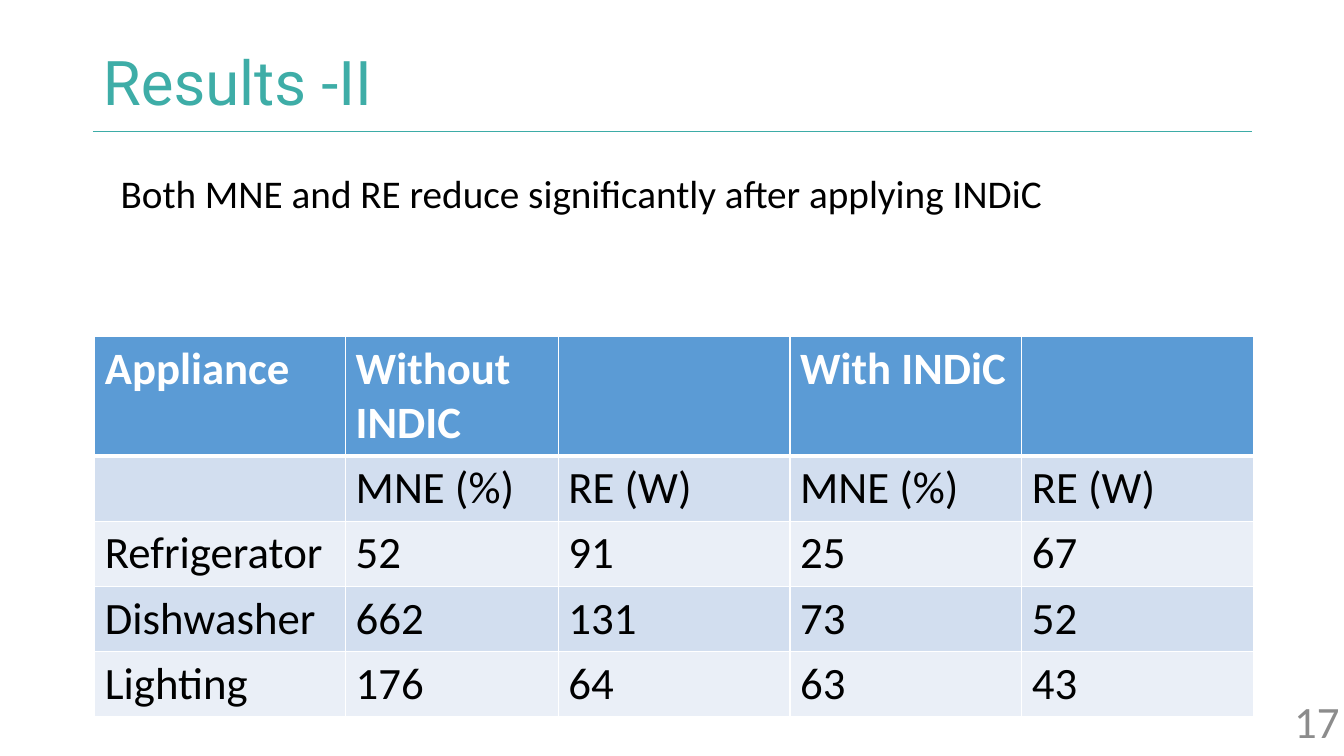
from lxml import etree
from pptx import Presentation
from pptx import util as u
from pptx.dml.color import RGBColor
from pptx.enum import shapes, text
from pptx.oxml import ns

TITLE = "Results -II"
MESSAGE = "Both MNE and RE reduce significantly after applying INDiC"
PAGE_NUMBER = "17"
RESULTS = [
    ("Appliance", "Without INDIC", "", "With INDiC", ""),
    ("", "MNE (%)", "RE (W)", "MNE (%)", "RE (W)"),
    ("Refrigerator", "52", "91", "25", "67"),
    ("Dishwasher", "662", "131", "73", "52"),
    ("Lighting", "176", "64", "63", "43"),
]
COLUMN_WIDTHS = (6.32, 5.36, 5.84, 5.84, 5.84)
HEADER_HEIGHT, ROW_HEIGHT = 3, 1.64

TEAL = RGBColor(0x3E, 0xAD, 0xA7)
RULE_TEAL = RGBColor(0x3D, 0xAC, 0xA7)
BLUE = RGBColor(0x5B, 0x9B, 0xD5)
BANDS = (RGBColor(0xEA, 0xEF, 0xF7), RGBColor(0xD2, 0xDE, 0xEF))
WHITE = RGBColor(0xFF, 0xFF, 0xFF)
BLACK = RGBColor(0, 0, 0)
GREY = RGBColor(0x8C, 0x8C, 0x8C)


def set_font(p, size, color, name="Calibri", bold=False):
    p.font.size, p.font.name, p.font.bold = u.Pt(size), name, bold
    p.font.color.rgb = color


def set_borders(cell, widths):
    """Draw white borders; widths in points for left, right, top, bottom."""
    tc_pr = cell._tc.get_or_add_tcPr()
    for i, (side, width) in enumerate(zip("LRTB", widths)):
        ln = etree.Element(ns.qn(f"a:ln{side}"), w=str(u.Pt(width)))
        fill = etree.SubElement(ln, ns.qn("a:solidFill"))
        etree.SubElement(fill, ns.qn("a:srgbClr"), val=str(WHITE))
        tc_pr.insert(i, ln)


def add_text(slide, content, box, size, color):
    tf = slide.shapes.add_textbox(*map(u.Cm, box)).text_frame
    tf.word_wrap = True
    p = tf.paragraphs[0]
    p.text = content
    set_font(p, size, color)
    return tf


def add_title(slide):
    title = slide.shapes.title
    title.left, title.top, title.width, title.height = map(u.Cm, (2.34, 1.02, 26.24, 2.29))
    tf = title.text_frame
    tf.text = TITLE
    tf.auto_size = text.MSO_AUTO_SIZE.NONE
    tf.vertical_anchor = text.MSO_ANCHOR.MIDDLE
    p = tf.paragraphs[0]
    p.alignment, p.line_spacing = text.PP_ALIGN.LEFT, 0.9
    set_font(p, 44, TEAL, "Roboto")

    rule = slide.shapes.add_connector(
        shapes.MSO_CONNECTOR.STRAIGHT, *map(u.Cm, (2.34, 3.3, 31.55, 3.3)))
    rule.line.color.rgb, rule.line.width = RULE_TEAL, u.Pt(0.5)
    etree.SubElement(rule._element.spPr, ns.qn("a:effectLst"))


def add_results(slide):
    heights = [HEADER_HEIGHT] + [ROW_HEIGHT] * (len(RESULTS) - 1)
    box = (2.39, 8.48, sum(COLUMN_WIDTHS), sum(heights))
    table = slide.shapes.add_table(
        len(RESULTS), len(COLUMN_WIDTHS), *map(u.Cm, box)).table
    for column, width in zip(table.columns, COLUMN_WIDTHS):
        column.width = u.Cm(width)
    for row, height in zip(table.rows, heights):
        row.height = u.Cm(height)
    for r, values in enumerate(RESULTS):
        header = r == 0
        for c, value in enumerate(values):
            cell = table.cell(r, c)
            cell.text = value
            set_font(cell.text_frame.paragraphs[0], 32,
                     WHITE if header else BLACK, bold=header)
            cell.fill.solid()
            cell.fill.fore_color.rgb = BLUE if header else BANDS[r % 2]
            set_borders(cell, (1, 1, 3 if r == 1 else 1, 3 if header else 1))


def main():
    prs = Presentation()
    prs.slide_width, prs.slide_height = u.Cm(33.87), u.Cm(19.05)
    slide = prs.slides.add_slide(prs.slide_layouts.get_by_name("Title Only"))
    add_title(slide)
    add_results(slide)
    number = add_text(slide, PAGE_NUMBER, (26.39, 17.65, 7.62, 1.02), 32, GREY)
    number.vertical_anchor = text.MSO_ANCHOR.MIDDLE
    number.paragraphs[0].alignment = text.PP_ALIGN.RIGHT
    message = add_text(slide, MESSAGE, (2.79, 4.14, 28.37, 1.45), 28, BLACK)
    message.auto_size = text.MSO_AUTO_SIZE.SHAPE_TO_FIT_TEXT
    prs.save("out.pptx")


if __name__ == "__main__":
    main()
